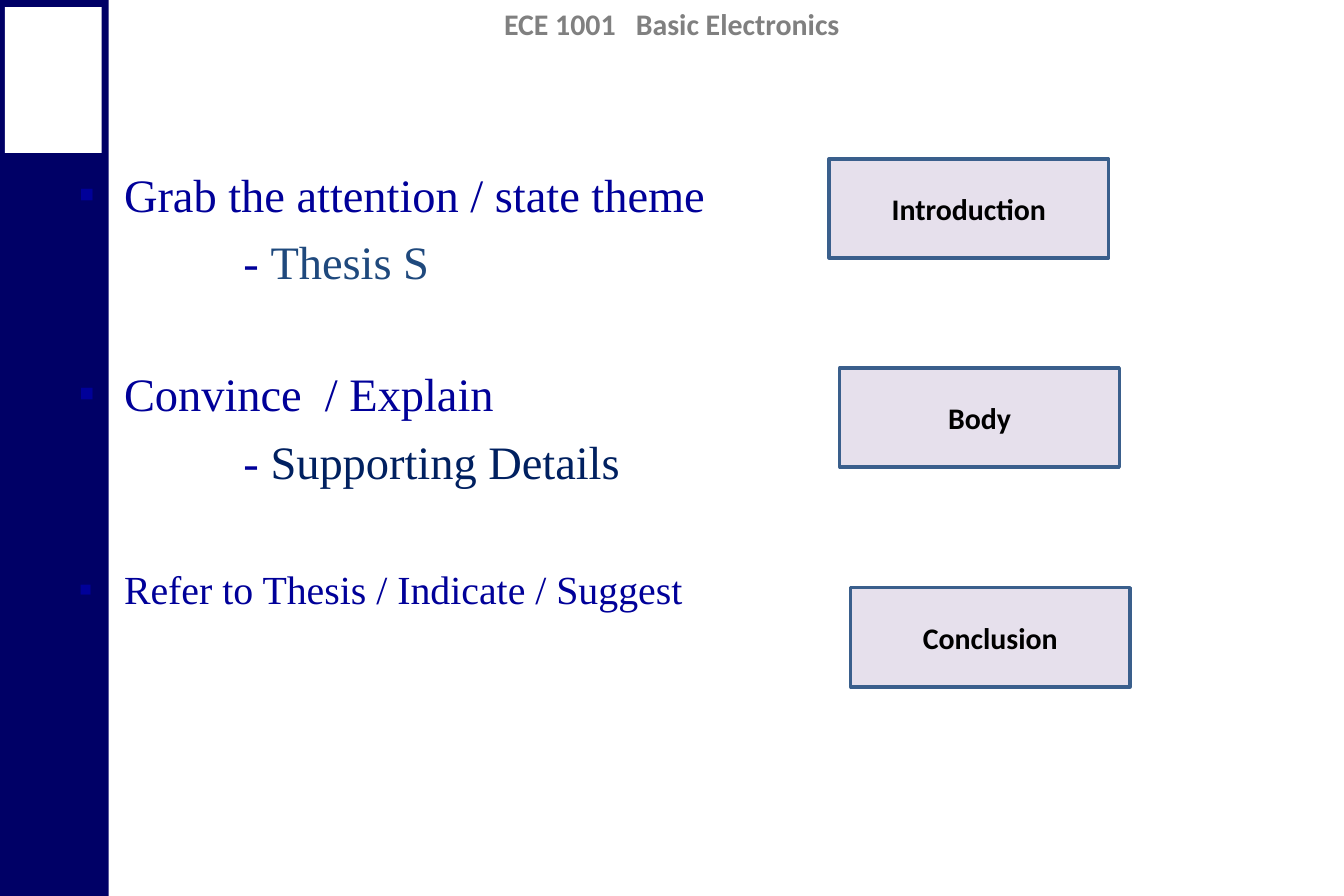
from lxml.etree import SubElement as Sub
from pptx import Presentation
from pptx.dml.color import RGBColor as RGB
from pptx.enum.shapes import MSO_SHAPE as Shape
from pptx.enum.text import MSO_ANCHOR as Anchor, PP_ALIGN as Align
from pptx.oxml.ns import qn
from pptx.util import Inches, Pt

NAVY = RGB(0x00, 0x00, 0x66)
WHITE = RGB(0xFF, 0xFF, 0xFF)
GRAY = RGB(0x80, 0x80, 0x80)
BLACK = RGB(0x00, 0x00, 0x00)
BLUE = RGB(0x00, 0x00, 0x99)
STEEL = RGB(0x1F, 0x49, 0x7D)
DARK = RGB(0x00, 0x20, 0x60)
LILAC = RGB(0xE6, 0xE0, 0xEC)
EDGE = RGB(0x3A, 0x5F, 0x8C)

SERIF = "Times New Roman"

# heading, size, space before, detail, detail colour
POINTS = [
    ("Grab the attention / state theme", 28, 0, "Thesis S", STEEL),
    ("Convince  / Explain", 28, 46, "Supporting Details", DARK),
    ("Refer to Thesis / Indicate / Suggest", 24, 46, None, None),
]
PARTS = [
    ("Introduction", 6.94, 1.33),
    ("Body", 7.03, 3.08),
    ("Conclusion", 7.12, 4.92),
]


def write(para, text, size=18, color=BLACK, font="Calibri", bold=False):
    run = para.add_run()
    run.text = text
    run.font.size = Pt(size)
    run.font.name = font
    run.font.bold = bold
    run.font.color.rgb = color


def add_rect(slide, left, top, width, height, fill, line=None):
    rect = slide.shapes.add_shape(
        Shape.RECTANGLE, Inches(left), Inches(top), Inches(width), Inches(height))
    rect.shadow.inherit = False
    rect.fill.solid()
    rect.fill.fore_color.rgb = fill
    if line is None:
        rect.line.fill.background()
    else:
        rect.line.color.rgb = line
        rect.line.width = Pt(2)
    return rect


def add_box(slide, left, top, width, height):
    box = slide.shapes.add_textbox(
        Inches(left), Inches(top), Inches(width), Inches(height))
    box.text_frame.word_wrap = True
    return box.text_frame


def indent(para, left, first=0, bullet=None):
    """Set the left margin and first-line offset, with an optional bullet."""
    props = para._p.get_or_add_pPr()
    props.set("marL", str(Inches(left)))
    props.set("indent", str(Inches(first)))
    if bullet:
        color = Sub(props, qn("a:buClr"))
        Sub(color, qn("a:srgbClr"), val=str(BLUE))
        Sub(props, qn("a:buFont"), typeface=SERIF)
        Sub(props, qn("a:buChar"), char=bullet)


def add_points(slide):
    frame = add_box(slide, 0.56, 1.34, 10.12, 5.36)
    for num, (head, size, gap, detail, color) in enumerate(POINTS):
        para = frame.add_paragraph() if num else frame.paragraphs[0]
        para.space_before = Pt(gap)
        indent(para, 0.38, -0.38, "▪")
        write(para, head, size=size, color=BLUE, font=SERIF)
        if detail:
            para = frame.add_paragraph()
            para.space_before = Pt(7)
            indent(para, 1.38)
            write(para, "- ", size=size, color=BLUE, font=SERIF)
            write(para, detail, size=size, color=color, font=SERIF)


def add_part(slide, name, left, top):
    frame = add_rect(slide, left, top, 2.34, 0.83, LILAC, EDGE).text_frame
    frame.vertical_anchor = Anchor.MIDDLE
    para = frame.paragraphs[0]
    para.alignment = Align.CENTER
    write(para, name, bold=True)


def main():
    deck = Presentation()
    deck.slide_width, deck.slide_height = Inches(11.25), Inches(7.5)
    slide = deck.slides.add_slide(deck.slide_layouts[6])

    add_rect(slide, -0.01, 0, 0.92, 7.5, NAVY)
    title = add_box(slide, 0, 0, 11.25, 0.4).paragraphs[0]
    title.alignment = Align.CENTER
    write(title, "ECE 1001   Basic Electronics", color=GRAY, bold=True)
    add_rect(slide, 0.04, 0.06, 0.81, 1.22, WHITE)

    add_points(slide)
    for part in PARTS:
        add_part(slide, *part)

    deck.save("out.pptx")


if __name__ == "__main__":
    main()
